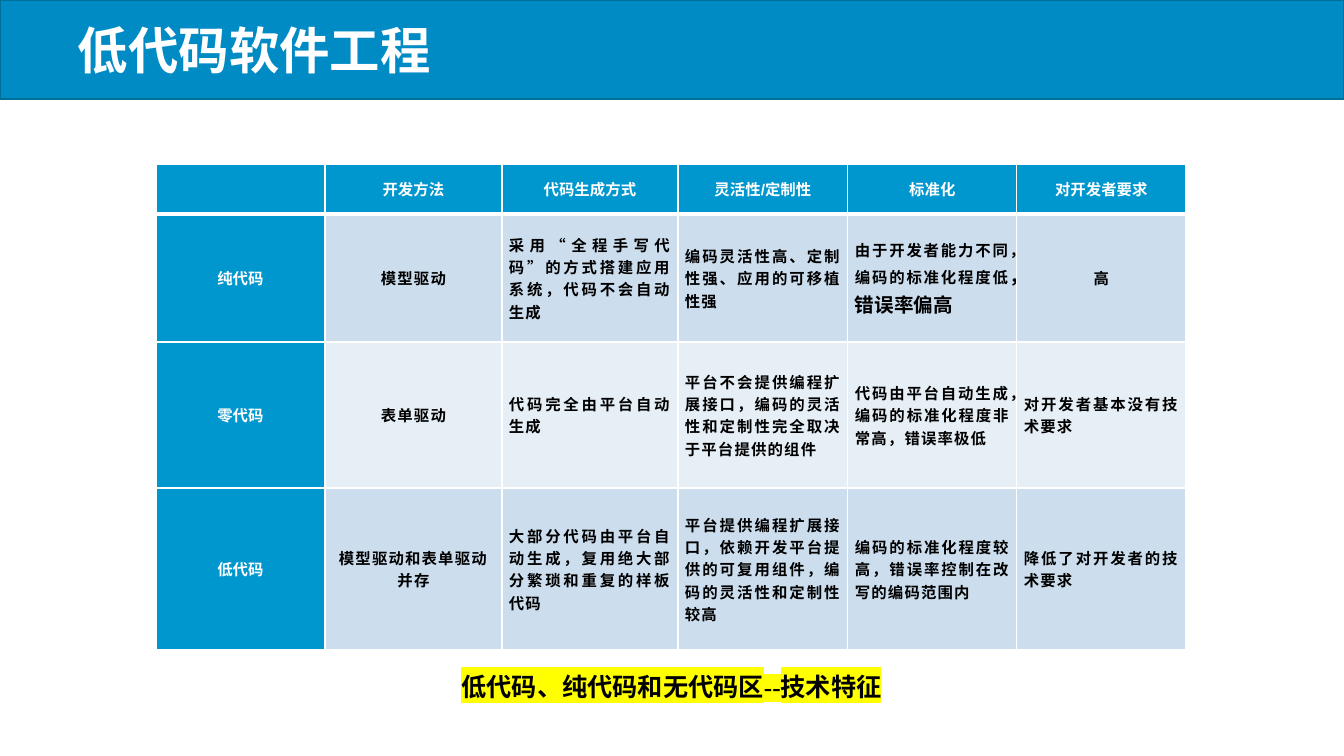
import lxml.etree
import pptx
import pptx.dml.color
import pptx.enum.shapes
import pptx.enum.text
import pptx.oxml.ns
import pptx.util

PX = 914400 / 100.8
CJK = "Noto Sans CJK SC"
ALIGN = pptx.enum.text.PP_ALIGN
MIDDLE = pptx.enum.text.MSO_ANCHOR.MIDDLE

WHITE, BLACK, YELLOW = "FFFFFF", "000000", "FFFF00"
HEAD_BLUE = "0096CE"
ROW_TINTS = ["CCDDED", "E7EFF6", "CCDDED"]

COLUMN_WIDTHS = [169, 177, 176, 170, 169, 169]
ROW_HEIGHTS = [50, 128, 146, 162]
COMPARISON = [
    ["", "开发方法", "代码生成方式", "灵活性/定制性", "标准化", "对开发者要求"],
    ["纯代码", "模型驱动", "采用“全程手写代码”的方式搭建应用系统，代码不会自动生成",
     "编码灵活性高、定制性强、应用的可移植性强",
     "由于开发者能力不同，编码的标准化程度低", "高"],
    ["零代码", "表单驱动", "代码完全由平台自动生成",
     "平台不会提供编程扩展接口，编码的灵活性和定制性完全取决于平台提供的组件",
     "代码由平台自动生成，编码的标准化程度非常高，错误率极低",
     "对开发者基本没有技术要求"],
    ["低代码", "模型驱动和表单驱动并存",
     "大部分代码由平台自动生成，复用绝大部分繁琐和重复的样板代码",
     "平台提供编程扩展接口，依赖开发平台提供的可复用组件，编码的灵活性和定制性较高",
     "编码的标准化程度较高，错误率控制在改写的编码范围内",
     "降低了对开发者的技术要求"],
]
ERROR_RATE = "，错误率偏高"


def px(length):
    return pptx.util.Emu(round(length * PX))


def colour(hex_code):
    return pptx.dml.color.RGBColor.from_string(hex_code)


def add_element(parent, tag, **attributes):
    return lxml.etree.SubElement(parent, pptx.oxml.ns.qn(tag), attributes)


def apply(target, formats):
    for name, value in formats.items():
        setattr(target, name, value)


def add_run(paragraph, words, size, ink, latin, spacing=0, highlight=None):
    run = paragraph.add_run()
    run.text = words
    apply(run.font, {"size": pptx.util.Pt(size), "bold": True, "name": latin})
    run.font.color.rgb = colour(ink)
    properties = run.font._element
    add_element(properties, "a:ea", typeface=CJK)
    if spacing:
        properties.set("spc", str(round(spacing * 100)))
    if highlight:
        marker = add_element(properties, "a:highlight")
        add_element(marker, "a:srgbClr", val=highlight)
        properties.find(pptx.oxml.ns.qn("a:latin")).addprevious(marker)


def add_borders(cell, widths):
    properties = cell._tc.get_or_add_tcPr()
    for position, (side, width) in enumerate(widths.items()):
        border = add_element(properties, "a:ln" + side,
                             w=str(pptx.util.Pt(width)))
        add_element(add_element(border, "a:solidFill"), "a:srgbClr", val=WHITE)
        properties.insert(position, border)


def add_banner(slide, words):
    banner = slide.shapes.add_shape(
        pptx.enum.shapes.MSO_SHAPE.RECTANGLE, 0, 0, px(1344), px(99))
    banner.shadow.inherit = False
    banner.fill.solid()
    banner.fill.fore_color.rgb = colour("008BC5")
    banner.line.color.rgb = colour("006F98")
    banner.line.width = pptx.util.Pt(1)
    apply(banner.text_frame, {"margin_left": px(78), "word_wrap": True,
                              "vertical_anchor": MIDDLE})
    heading = banner.text_frame.paragraphs[0]
    heading.alignment = ALIGN.LEFT
    add_run(heading, words, 36, WHITE, CJK)


def fill_cell(cell, row, column, words):
    is_head = row == 0 or column == 0
    cell.fill.solid()
    cell.fill.fore_color.rgb = colour(HEAD_BLUE if is_head else ROW_TINTS[row - 1])
    add_borders(cell, {"L": 1, "R": 1, "T": 3 if row == 1 else 1,
                       "B": 3 if row == 0 else 1})
    apply(cell, {"vertical_anchor": MIDDLE, "margin_left": px(7),
                 "margin_right": px(7), "margin_top": 0, "margin_bottom": 0})
    if not words:
        return
    centred = is_head or column == 1 or len(words) == 1
    entry = cell.text_frame.paragraphs[0]
    entry.alignment = ALIGN.CENTER if centred else ALIGN.JUSTIFY
    spacing = 0 if is_head or len(words) == 1 else 0.8
    add_run(entry, words, 11, WHITE if is_head else BLACK, "Arial", spacing)
    if (row, column) == (1, 4):
        add_run(entry, ERROR_RATE, 14, BLACK, "Arial")


def add_comparison(slide):
    comparison = slide.shapes.add_table(
        len(ROW_HEIGHTS), len(COLUMN_WIDTHS), px(156), px(164),
        px(sum(COLUMN_WIDTHS)), px(sum(ROW_HEIGHTS))).table
    comparison.horz_banding = False
    for column, width in zip(comparison.columns, COLUMN_WIDTHS):
        column.width = px(width)
    for row, height in zip(comparison.rows, ROW_HEIGHTS):
        row.height = px(height)
    for row, entries in enumerate(COMPARISON):
        for column, words in enumerate(entries):
            fill_cell(comparison.cell(row, column), row, column, words)


def add_caption(slide, words):
    caption = slide.shapes.add_textbox(px(428), px(666), px(487), px(40))
    caption.text_frame.word_wrap = True
    line = caption.text_frame.paragraphs[0]
    line.alignment = ALIGN.CENTER
    add_run(line, words, 18, BLACK, "Times New Roman", highlight=YELLOW)


def main():
    deck = pptx.Presentation()
    apply(deck, {"slide_width": px(1344), "slide_height": px(756)})
    slide = deck.slides.add_slide(deck.slide_layouts[6])

    # Title banner
    add_banner(slide, "低代码软件工程")
    # Comparison of the three approaches
    add_comparison(slide)
    # Highlighted caption
    add_caption(slide, "低代码、纯代码和无代码区--技术特征")

    deck.save("out.pptx")


if __name__ == "__main__":
    main()
